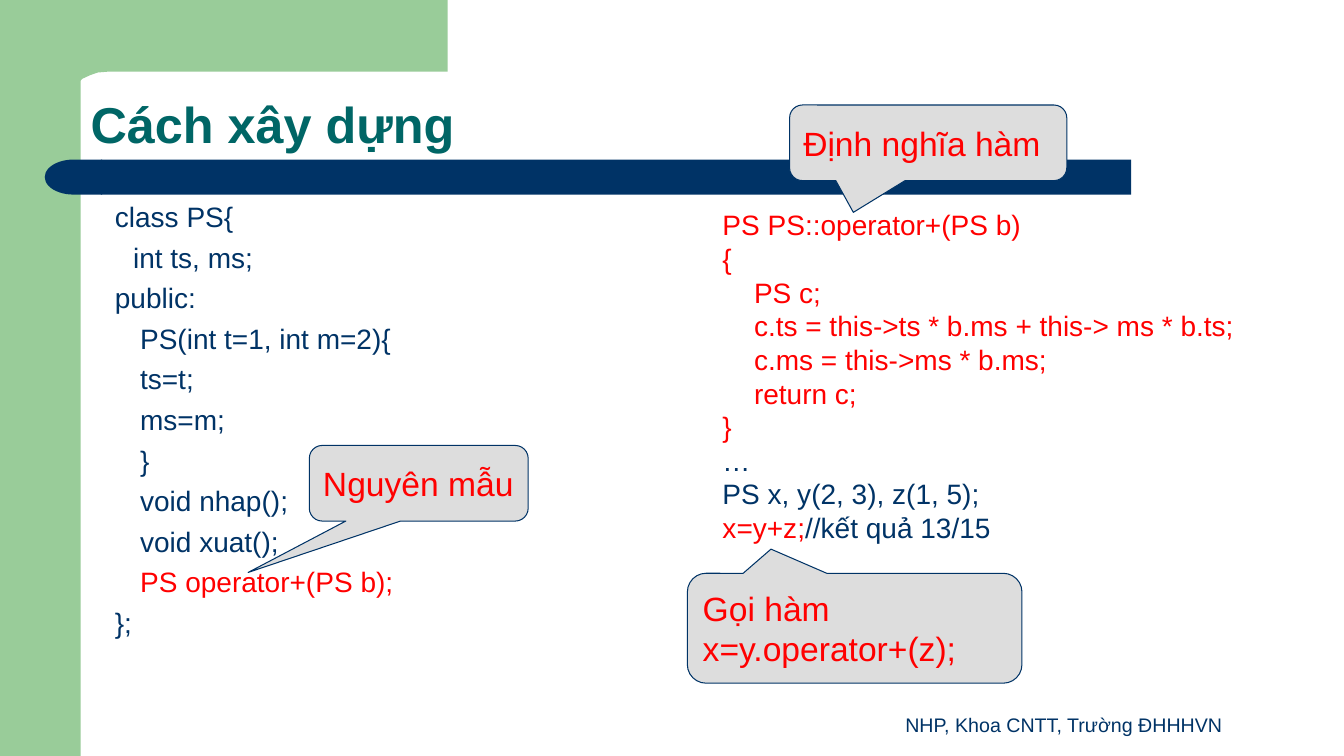
from pptx import Presentation
from pptx import util as u
from pptx.dml.color import RGBColor
from pptx.enum import shapes, text

GREEN = RGBColor(0x99, 0xCC, 0x99)
NAVY = RGBColor(0x00, 0x33, 0x66)
TEAL = RGBColor(0x00, 0x66, 0x66)
RED = RGBColor(0xFF, 0x00, 0x00)
GREY = RGBColor(0xDD, 0xDD, 0xDD)
Pt = u.Pt
MSO = shapes.MSO_SHAPE
ANCHOR = text.MSO_ANCHOR

CORNER = [(319.7, 0), (319.7, 51.1), (78.5, 51.1), (69.8, 51.8), (64.4, 53.7),
          (59, 56.2), (55.4, 59.5), (52.6, 63.4), (50.6, 67), (49.7, 70.6),
          (49.7, 77.8), (15.8, 77.8), (15.8, 0)]

CLASS_LINES = [
    (0, [("class PS{", NAVY)]),
    (13, [("int ts, ms;", NAVY)]),
    (0, [("public:", NAVY)]),
    *[(18, [(line, NAVY)]) for line in (
        "PS(int t=1, int m=2){", "ts=t;", "ms=m;", "}", "void nhap();", "void xuat();")],
    (18, [("PS operator+(PS b);", RED)]),
    (0, [("};", NAVY)]),
]

OPERATOR_LINES = [
    (0, [("PS PS::operator+(PS b)", RED)]),
    (0, [("{", RED)]),
    *[(22.5, [(line, RED)]) for line in (
        "PS c;", "c.ts = this->ts * b.ms + this-> ms * b.ts;",
        "c.ms = this->ms * b.ms;", "return c;")],
    (0, [("}", RED)]),
    (0, [("…", NAVY)]),
    (0, [("PS x, y(2, 3), z(1, 5);", NAVY)]),
    (0, [("x=y+z;", RED), ("//kết quả 13/15", NAVY)]),
]

CALLOUTS = [
    ((221, 318.2, 156.3, 54), (-0.78, 1.18, 0.17), ["Nguyên mẫu"]),
    ((564, 75, 198, 54), (-0.27, 0.92, 0.17), ["Định nghĩa hàm"]),
    ((491, 409.5, 239, 78.5), (-0.25, -0.72, 0.17), ["Gọi hàm", "x=y.operator+(z);"]),
]


def set_all(obj, values):
    for name, value in values.items():
        setattr(obj, name, value)


def write(sp, lines, font, frame=None, para=None):
    tf = sp.text_frame
    set_all(tf, {"word_wrap": True, **(frame or {})})
    for i, (indent, runs) in enumerate(lines):
        p = tf.add_paragraph() if i else tf.paragraphs[0]
        set_all(p, {"alignment": text.PP_ALIGN.LEFT, **(para or {})})
        if indent:
            p._p.get_or_add_pPr().set("indent", str(Pt(indent)))
        for words, colour in runs:
            r = p.add_run()
            r.text = words
            set_all(r.font, {"name": "Arial", **font})
            r.font.color.rgb = colour


def paint(sp, colour):
    sp.shadow.inherit = False
    sp.fill.solid()
    sp.fill.fore_color.rgb = colour
    sp.line.fill.background()


def add_block(s, kind, box, colour):
    sp = s.shapes.add_shape(kind, *map(Pt, box))
    paint(sp, colour)
    return sp


def add_corner(s):
    points = [(Pt(x), Pt(y)) for x, y in CORNER]
    builder = s.shapes.build_freeform(*points[0])
    builder.add_line_segments(points[1:], close=True)
    paint(builder.convert_to_shape(), GREEN)


def add_words(s, box, lines, font, frame=None, para=None):
    sp = s.shapes.add_textbox(*map(Pt, box))
    write(sp, lines, font, frame, para)


def add_callout(s, box, adjustments, lines):
    sp = add_block(s, MSO.ROUNDED_RECTANGULAR_CALLOUT, box, GREY)
    for i, value in enumerate(adjustments):
        sp.adjustments[i] = value
    sp.line.color.rgb = NAVY
    sp.line.width = Pt(0.75)
    write(sp, [(0, [(line, RED)]) for line in lines], {"size": Pt(24)},
          {"vertical_anchor": ANCHOR.MIDDLE, "margin_right": 0})


def main():
    prs = Presentation()
    prs.slide_width, prs.slide_height = Pt(960), Pt(540)
    s = prs.slides.add_slide(prs.slide_layouts[6])

    add_block(s, MSO.RECTANGLE, (0, 0, 57.6, 540), GREEN)
    add_corner(s)
    add_block(s, MSO.RECTANGLE, (72, 114, 736, 25), NAVY)
    cap = add_block(s, MSO.FLOWCHART_DELAY, (32, 114, 41, 25), NAVY)
    cap._element.spPr.xfrm.set("flipH", "1")

    add_words(s, (57.6, 52, 855, 62), [(0, [("Cách xây dựng", TEAL)])],
              {"size": Pt(36), "bold": True},
              {"vertical_anchor": ANCHOR.BOTTOM}, {"line_spacing": 0.9})
    add_words(s, (75, 139, 363, 365), CLASS_LINES, {"size": Pt(20)},
              para={"space_before": Pt(5)})
    add_words(s, (509, 145, 403, 250), OPERATOR_LINES, {"size": Pt(20)})
    for callout in CALLOUTS:
        add_callout(s, *callout)
    add_words(s, (608, 492, 304, 37.5), [(0, [("NHP, Khoa CNTT, Trường ĐHHHVN", NAVY)])],
              {"size": Pt(14)}, {"vertical_anchor": ANCHOR.BOTTOM},
              {"alignment": text.PP_ALIGN.CENTER})
    prs.save("out.pptx")


if __name__ == "__main__":
    main()
